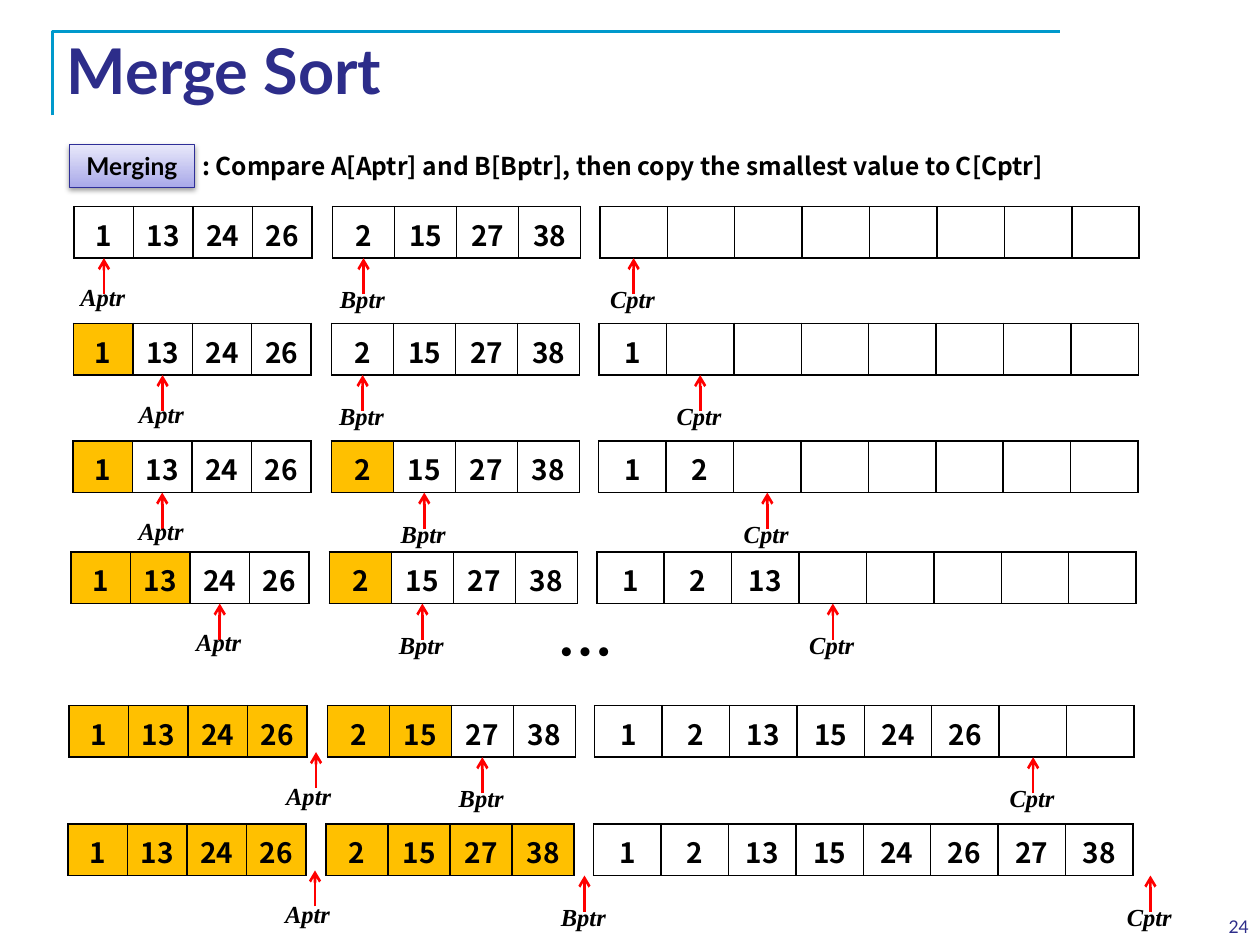
from dataclasses import dataclass

from lxml.etree import SubElement
from pptx import Presentation
from pptx.dml.color import RGBColor
from pptx.enum.shapes import MSO_CONNECTOR, MSO_SHAPE
from pptx.enum.text import MSO_ANCHOR, PP_ALIGN
from pptx.oxml import parse_xml
from pptx.oxml.ns import nsdecls, qn
from pptx.util import Pt


@dataclass(frozen=True)
class Theme:
    """Colours, fonts and type sizes of the slide."""
    navy: str = "2D2D8A"
    frame: str = "0099CC"
    black: str = "000000"
    white: str = "FFFFFF"
    used: str = "FFC000"
    pointer: str = "FF0000"
    badge_line: str = "2F2F98"
    badge_bottom: str = "A9A9E9"
    badge_top: str = "E8E8FA"
    heading_font: str = "Lato"
    body_font: str = "Noto Sans CJK KR"
    pointer_font: str = "Times New Roman"
    title_size: int = 36
    ellipsis_size: int = 32
    value_size: int = 16
    body_size: int = 14
    number_size: int = 10


@dataclass(frozen=True)
class Array:
    """One of the three arrays, placed relative to the left of its step."""
    pointer: str
    offset: float
    cell_width: float
    values: tuple
    label_drop: float
    end_gap: float
    end_lift: float = 0
    end_shift: float = 0


THEME = Theme()
ROW_HEIGHT = 29.5
ARROW_LENGTH = 20.6
LABEL_WIDTH, LABEL_HEIGHT = 41, 24.2
INPUT_A = Array("Aptr", 0, 34, (1, 13, 24, 26), 39.6, 5.2, 2.9, 3.6)
INPUT_B = Array("Bptr", 147.6, 35.45, (2, 15, 27, 38), 41, 5.8)
OUTPUT_C = Array("Cptr", 300.4, 38.55, (1, 2, 13, 15, 24, 26, 27, 38), 41, 9.8)
STEPS = (
    (42.4, 118, 0, 0),
    (41.9, 184.8, 1, 0),
    (41.7, 252, 1, 1),
    (40.6, 315.4, 2, 1),
    (39.4, 403.2, 4, 2),
    (38.8, 470.8, 4, 4),
)


def color(code):
    """Turn a hexadecimal code into a colour."""
    return RGBColor.from_string(code)


def write_text(frame, text, *, size, font=THEME.body_font, fill=THEME.black,
               bold=True, italic=False, align=PP_ALIGN.CENTER, wrap=False):
    """Write one formatted paragraph into a text frame."""
    frame.word_wrap = wrap
    paragraph = frame.paragraphs[0]
    paragraph.alignment = align
    run = paragraph.add_run()
    run.text = text
    run.font.size = Pt(size)
    run.font.name = font
    run.font.bold = bold
    run.font.italic = italic
    run.font.color.rgb = color(fill)
    SubElement(run._r.get_or_add_rPr(), qn("a:ea"), typeface=font)


def add_label(slide, text, left, top, width, height, **style):
    """Add a text box with one formatted paragraph."""
    box = slide.shapes.add_textbox(Pt(left), Pt(top), Pt(width), Pt(height))
    write_text(box.text_frame, text, **style)


def add_frame(slide):
    """Draw the corner line around the title."""
    builder = slide.shapes.build_freeform(30.2, 66.2, scale=Pt(1))
    builder.add_line_segments([(30.2, 18), (606.2, 18)], close=False)
    shape = builder.convert_to_shape()
    shape.shadow.inherit = False
    shape.fill.background()
    shape.line.color.rgb = color(THEME.frame)
    shape.line.width = Pt(1.5)


def add_title(slide, text):
    """Place and format the title placeholder."""
    title = slide.shapes.title
    title.left, title.top, title.width, title.height = Pt(31), Pt(15), Pt(648), Pt(49)
    title.text_frame.vertical_anchor = MSO_ANCHOR.MIDDLE
    write_text(title.text_frame, text, size=THEME.title_size, font=THEME.heading_font,
               fill=THEME.navy, align=PP_ALIGN.LEFT, wrap=True)


def add_badge(slide, text):
    """Add the shaded badge that names the phase."""
    shape = slide.shapes.add_shape(MSO_SHAPE.RECTANGLE, Pt(39.6), Pt(82.8), Pt(71.6), Pt(24.2))
    shape.fill.gradient()
    shape.fill.gradient_angle = 90
    for stop, code in zip(shape.fill.gradient_stops, (THEME.badge_bottom, THEME.badge_top)):
        stop.color.rgb = color(code)
    shape.line.color.rgb = color(THEME.badge_line)
    shape.line.width = Pt(0.75)
    shape._element.spPr.append(parse_xml(
        f'<a:effectLst {nsdecls("a")}><a:outerShdw blurRad="{Pt(3.1)}" dist="{Pt(1.6)}" '
        f'dir="5400000" rotWithShape="0"><a:srgbClr val="{THEME.black}">'
        '<a:alpha val="38000"/></a:srgbClr></a:outerShdw></a:effectLst>'))
    write_text(shape.text_frame, text, size=THEME.body_size, font=THEME.heading_font)


def format_cell(cell, fill):
    """Give a cell its fill, margins and black borders."""
    cell.margin_top, cell.margin_bottom = Pt(4), Pt(2)
    cell.vertical_anchor = MSO_ANCHOR.MIDDLE
    properties = cell._tc.get_or_add_tcPr()
    for side in ("lnL", "lnR", "lnT", "lnB"):
        properties.append(parse_xml(
            f'<a:{side} {nsdecls("a")} w="{Pt(1)}"><a:solidFill>'
            f'<a:srgbClr val="{THEME.black}"/></a:solidFill></a:{side}>'))
    cell.fill.solid()
    cell.fill.fore_color.rgb = color(fill)


def add_array(slide, array, left, top, shown, used):
    """Add an array table with its shown values and its used cells."""
    count = len(array.values)
    table = slide.shapes.add_table(1, count, Pt(left), Pt(top), Pt(count * array.cell_width),
                                   Pt(ROW_HEIGHT)).table
    table.first_row = table.horz_banding = False
    for index, value in enumerate(array.values):
        table.columns[index].width = Pt(array.cell_width)
        cell = table.cell(0, index)
        format_cell(cell, THEME.used if index < used else THEME.white)
        if index < shown:
            write_text(cell.text_frame, str(value), size=THEME.value_size, wrap=True)


def add_pointer(slide, array, left, top, index):
    """Add the arrow under a cell, or past the end, and its name."""
    ended = index == len(array.values)
    center = left + (index * array.cell_width + array.end_gap if ended
                     else (index + 0.5) * array.cell_width)
    tip = top + ROW_HEIGHT - (array.end_lift if ended else 0)
    arrow = slide.shapes.add_connector(MSO_CONNECTOR.STRAIGHT, Pt(center),
                                       Pt(tip + ARROW_LENGTH), Pt(center), Pt(tip))
    arrow.line.color.rgb = color(THEME.pointer)
    arrow.line.width = Pt(1.5)
    SubElement(arrow.line._get_or_add_ln(), qn("a:tailEnd"), type="arrow")
    SubElement(arrow._element.spPr, qn("a:effectLst"))
    label_left = center - LABEL_WIDTH / 2 - 0.6 - (array.end_shift if ended else 0)
    add_label(slide, array.pointer, label_left, top + array.label_drop, LABEL_WIDTH, LABEL_HEIGHT,
              size=THEME.body_size, font=THEME.pointer_font, italic=True)


def add_step(slide, left, top, taken_a, taken_b):
    """Add the three arrays and pointers after some values were taken."""
    merged = taken_a + taken_b
    for array, index, shown, used in (
        (INPUT_A, taken_a, 4, taken_a),
        (INPUT_B, taken_b, 4, taken_b),
        (OUTPUT_C, merged, merged, 0),
    ):
        add_array(slide, array, left + array.offset, top, shown, used)
        add_pointer(slide, array, left + array.offset, top, index)


def main():
    """Build the merge sort slide and save it."""
    presentation = Presentation()
    presentation.slide_width, presentation.slide_height = Pt(720), Pt(540)
    slide = presentation.slides.add_slide(presentation.slide_layouts[5])
    add_frame(slide)
    add_title(slide, "Merge Sort")
    add_label(slide, "24", 553, 519.8, 167.6, 20.9, size=THEME.number_size, wrap=True,
              font=THEME.heading_font, fill=THEME.navy, bold=False, align=PP_ALIGN.RIGHT)
    add_badge(slide, "Merging")
    add_label(slide, ": Compare A[Aptr] and B[Bptr], then copy the smallest value to C[Cptr]",
              108, 82.8, 496, 24.2, size=THEME.body_size)
    for step in STEPS:
        add_step(slide, *step)
    add_label(slide, "…", 309, 349.2, 51, 46, size=THEME.ellipsis_size, wrap=True)
    presentation.save("out.pptx")


if __name__ == "__main__":
    main()
